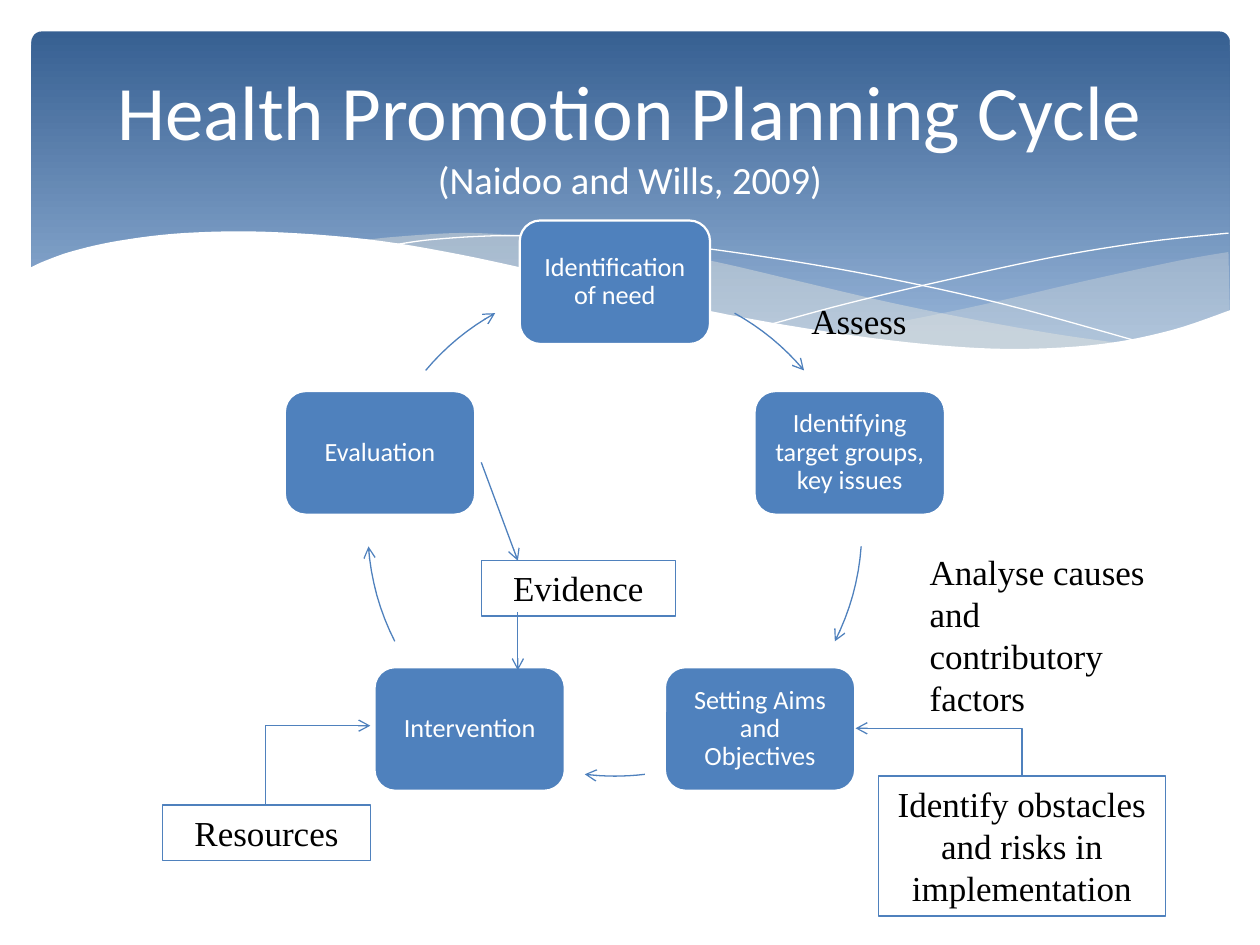
"""Build the health promotion planning cycle slide."""
import math
from dataclasses import dataclass

import pptx
import pptx.dml.color
import pptx.enum.shapes
import pptx.enum.text
import pptx.oxml
import pptx.oxml.ns
import pptx.util

PX = 9144
SHAPE = pptx.enum.shapes.MSO_SHAPE
LINK = pptx.enum.shapes.MSO_CONNECTOR
ALIGN = pptx.enum.text.PP_ALIGN
ANCHOR = pptx.enum.text.MSO_ANCHOR
FIT = pptx.enum.text.MSO_AUTO_SIZE


@dataclass(frozen=True)
class Theme:
    """Hold the colours, fonts and type sizes."""
    white: str = "FFFFFF"
    black: str = "000000"
    blue: str = "4F81BD"
    deep: str = "376092"
    pale: str = "95B3D7"
    sand: str = "EEECE1"
    sans: str = "Calibri"
    serif: str = "Times New Roman"
    title: int = 44
    cite: int = 22
    step: int = 15
    note: int = 20
    thin: float = 0.75
    edge: float = 1.25


T = Theme()

CREST = [(975, 200), (935, 207), (861, 223), (779, 242), (706, 257), (661, 265)]
TROUGH = [(661, 265), (705, 271), (757, 276), (803, 278), (854, 276), (897, 270),
          (935, 262), (976, 247)]
RIDGE = [(893, 273), (837, 265), (775, 254), (706, 240), (629, 222), (569, 208),
         (514, 198), (465, 191), (399, 186), (361, 185), (313, 188), (286, 191)]
BASIN = [(286, 191), (342, 199), (404, 211), (449, 222), (530, 240), (601, 255),
         (665, 266), (722, 274), (785, 278), (838, 278), (893, 273)]
FALL = [(309, 195), (344, 190), (401, 187), (469, 189), (533, 194), (608, 204),
        (695, 219), (795, 241), (907, 272)]
RISE = [(613, 257), (672, 241), (748, 223), (836, 204), (910, 192), (975, 185)]
SHORE = [(977, 246), (930, 262), (875, 273), (809, 277), (744, 274), (668, 265),
         (579, 250), (503, 233), (447, 220), (365, 202), (292, 190), (211, 184),
         (146, 185), (95, 191), (59, 199), (36, 207), (23, 213)]

STEPS = ["Identification of need", "Identifying target groups, key issues",
         "Setting Aims and Objectives", "Intervention", "Evaluation"]
ARCS = [(29, 50), (94, 117), (173, 187), (243, 266), (310, 331)]
HUB = (488, 420)
RADIUS = 196


def emu(*sizes):
    """Turn px into EMU."""
    return [round(size * PX) for size in sizes]


def tint(code):
    """Return a colour from its hex code."""
    return pptx.dml.color.RGBColor.from_string(code)


def add_tag(parent, tag, **attrs):
    """Append a drawing element to a parent."""
    node = pptx.oxml.parse_xml(f'<a:{tag} {pptx.oxml.ns.nsdecls("a")}/>')
    for key, value in attrs.items():
        node.set(key, value)
    parent.append(node)


def paint(shape, fill=None, line=None, width=0):
    """Set the fill and outline of a shape."""
    shape.shadow.inherit = False
    if fill:
        shape.fill.solid()
        shape.fill.fore_color.rgb = tint(fill)
    else:
        shape.fill.background()
    if line:
        shape.line.color.rgb = tint(line)
        shape.line.width = pptx.util.Pt(width)
    else:
        shape.line.fill.background()


def point(shape, end="tailEnd"):
    """Put an open arrowhead on one end of a line."""
    ln = shape.element.spPr.find(pptx.oxml.ns.qn("a:ln"))
    add_tag(ln, end, type="arrow")


def write(shape, runs, align=ALIGN.CENTER, anchor=ANCHOR.MIDDLE):
    """Fill a shape with one paragraph of (text, size, font, colour) runs."""
    frame = shape.text_frame
    frame.word_wrap = True
    frame.vertical_anchor = anchor
    par = frame.paragraphs[0]
    par.alignment = align
    for text, size, face, code in runs:
        run = par.add_run()
        run.text = text
        run.font.size = pptx.util.Pt(size)
        run.font.name = face
        run.font.color.rgb = tint(code)
    return frame


def smooth(knots, parts=6):
    """Return points on a smooth curve through the knots."""
    ends = [knots[0], *knots, knots[-1]]
    curve = [knots[0]]
    for a, b, c, d in zip(ends, ends[1:], ends[2:], ends[3:]):
        for i in range(1, parts + 1):
            t = i / parts
            curve.append(tuple(
                q + t * (r - p) / 2 + t * t * (2 * p - 5 * q + 4 * r - s) / 2
                + t ** 3 * (3 * q - p - 3 * r + s) / 2
                for p, q, r, s in zip(a, b, c, d)))
    return curve


def trace(slide, points, close=False):
    """Draw a freeform through the points."""
    first, *rest = [emu(*spot) for spot in points]
    pen = slide.shapes.build_freeform(*first, scale=1.0)
    pen.add_line_segments(rest, close=close)
    return pen.convert_to_shape()


def add_wave(slide, points, fill, alpha=100):
    """Draw a filled wave with an opacity in percent."""
    wave = trace(slide, points, True)
    paint(wave, fill)
    if alpha < 100:
        path_fill = wave.element.spPr.find(pptx.oxml.ns.qn("a:solidFill"))
        add_tag(path_fill[0], "alpha", val=str(alpha * 1000))


def add_banner(slide):
    """Draw the shaded banner and its waves."""
    panel = slide.shapes.add_shape(SHAPE.ROUNDED_RECTANGLE, *emu(25, 25, 951, 270))
    panel.adjustments[0] = 0.03
    paint(panel)
    panel.fill.gradient()
    panel.fill.gradient_angle = 270
    for stop, code, place in zip(panel.fill.gradient_stops, (T.deep, T.pale), (0, 0.9)):
        stop.color.rgb = tint(code)
        stop.position = place
    add_wave(slide, smooth(CREST) + smooth(TROUGH), T.sand, 29)
    add_wave(slide, smooth(RIDGE) + smooth(BASIN), T.sand, 40)
    for knots in (FALL, RISE):
        paint(trace(slide, smooth(knots)), line=T.white)
    add_wave(slide, smooth(SHORE) + [(23, 329), (977, 329)], T.white)


def on_ring(angle):
    """Return the ring point at an angle clockwise from the top."""
    turn = math.radians(angle)
    return HUB[0] + RADIUS * math.sin(turn), HUB[1] - RADIUS * math.cos(turn)


def add_step(slide, text, angle):
    """Draw one step of the cycle."""
    x, y = on_ring(angle)
    box = slide.shapes.add_shape(SHAPE.ROUNDED_RECTANGLE, *emu(x - 75.5, y - 49, 151, 98))
    paint(box, T.blue, T.white, T.edge)
    frame = write(box, [(text, T.step, T.sans, T.white)])
    frame.margin_left = frame.margin_right = emu(11)[0]
    frame.paragraphs[0].line_spacing = 0.9


def add_arc(slide, start, stop):
    """Draw a curved arrow along the ring."""
    arc = trace(slide, [on_ring(start + (stop - start) * i / 8) for i in range(9)])
    paint(arc, line=T.blue, width=T.thin)
    point(arc)


def add_note(slide, text, place, framed=True):
    """Add a note, framed and centred or plain and left."""
    if framed:
        box = slide.shapes.add_shape(SHAPE.RECTANGLE, *emu(*place))
        paint(box, line=T.blue, width=T.thin)
    else:
        box = slide.shapes.add_textbox(*emu(*place))
    align = ALIGN.CENTER if framed else ALIGN.LEFT
    frame = write(box, [(text, T.note, T.serif, T.black)], align, ANCHOR.TOP)
    frame.auto_size = FIT.SHAPE_TO_FIT_TEXT


def add_link(slide, ends, bent=False):
    """Draw a straight arrow, or a bent one that points at its start."""
    kind = LINK.ELBOW if bent else LINK.STRAIGHT
    link = slide.shapes.add_connector(kind, *emu(*ends))
    link.line.color.rgb = tint(T.blue)
    link.line.width = pptx.util.Pt(T.thin)
    props = link.element.spPr
    if bent:
        props.find(pptx.oxml.ns.qn("a:prstGeom")).set("prst", "bentConnector2")
    point(link, "headEnd" if bent else "tailEnd")
    add_tag(props, "effectLst")


def main():
    """Build and save the slide."""
    deck = pptx.Presentation()
    deck.slide_width, deck.slide_height = emu(1000, 750)
    slide = deck.slides.add_slide(deck.slide_layouts[6])
    add_banner(slide)
    write(slide.shapes.add_textbox(*emu(50, 37, 900, 137)),
          [("Health Promotion Planning Cycle ", T.title, T.sans, T.white),
           ("(Naidoo and Wills, 2009)", T.cite, T.sans, T.white)])
    for i, (text, arc) in enumerate(zip(STEPS, ARCS)):
        add_step(slide, text, i * 360 / len(STEPS))
        add_arc(slide, *arc)
    add_note(slide, "Evidence", (382, 445, 154, 44))
    add_link(slide, (382, 367, 411, 445))
    add_link(slide, (411, 486, 411, 532))
    add_note(slide, "Assess", (634, 233, 189, 44), False)
    add_note(slide, "Analyse causes and contributory factors", (728, 432, 197, 145), False)
    add_note(slide, "Resources", (129, 639, 165, 44))
    add_link(slide, (294, 576, 211, 639), True)
    add_note(slide, "Identify obstacles and risks in implementation", (697, 616, 228, 111))
    add_link(slide, (679, 578, 811, 616), True)
    deck.save("out.pptx")


if __name__ == "__main__":
    main()
